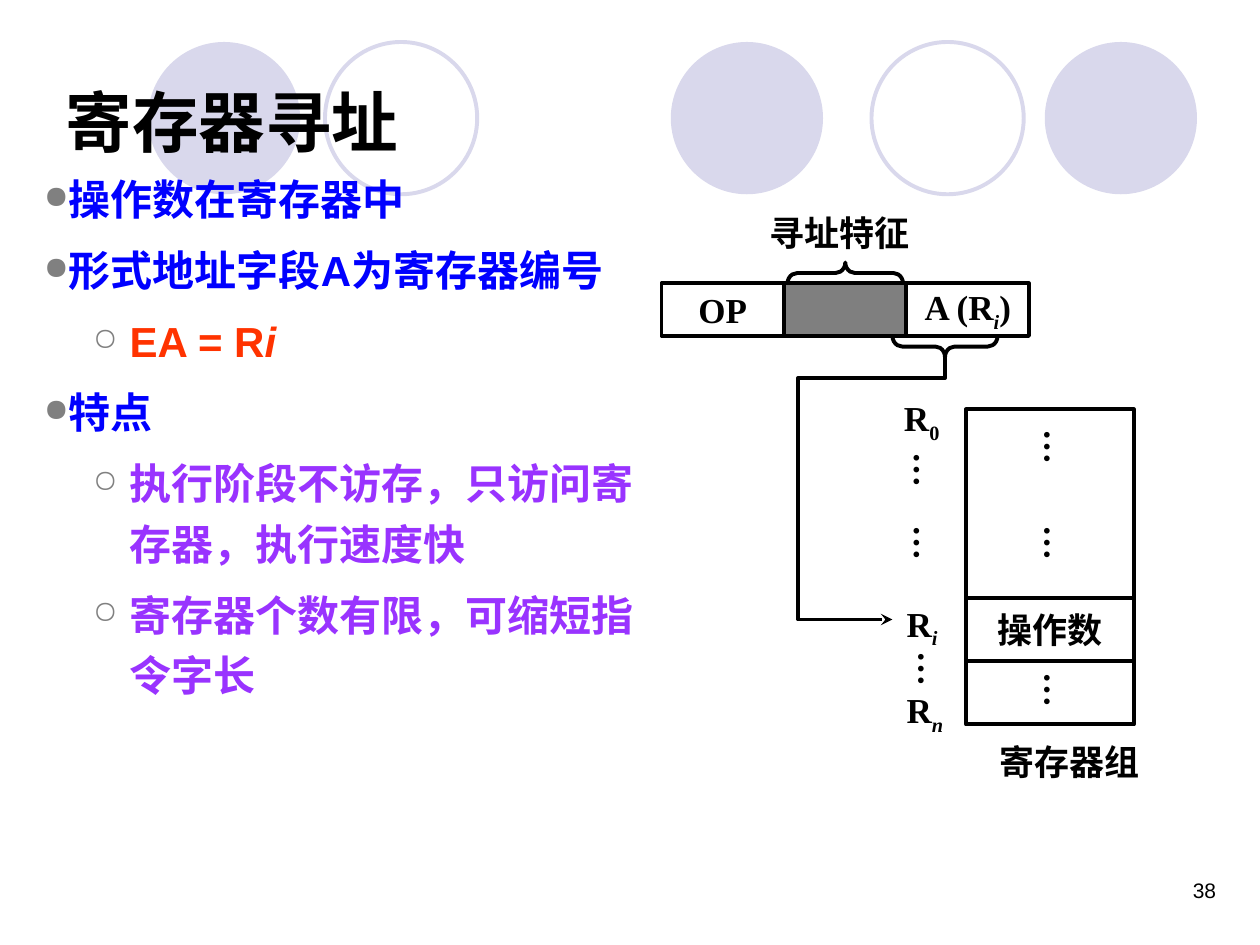
from dataclasses import dataclass

import pptx
import pptx.dml.color
import pptx.enum.shapes
import pptx.enum.text
import pptx.oxml
import pptx.oxml.ns
import pptx.util

Pt = pptx.util.Pt
SHAPE = pptx.enum.shapes.MSO_SHAPE
ALIGN = pptx.enum.text.PP_ALIGN
ANCHOR = pptx.enum.text.MSO_ANCHOR
AUTO = pptx.enum.text.MSO_AUTO_SIZE


@dataclass(frozen=True)
class Theme:
    black: str = "000000"
    circle: str = "D9D8EC"
    bullet: str = "808080"
    blue: str = "0000FF"
    red: str = "FF3300"
    purple: str = "9933FF"
    heading: str = "Arial"
    diagram: str = "Times New Roman"
    title_size: int = 38
    body_size: int = 24
    label_size: int = 20
    number_size: int = 12
    line: float = 2.25


def rgb(color):
    return pptx.dml.color.RGBColor.from_string(color)


def add_xml(parent, tag, **attributes):
    child = parent.makeelement(pptx.oxml.ns.qn(tag), attributes)
    parent.append(child)
    return child


class SlideBuilder:
    def __init__(self, slide, theme):
        self.slide = slide
        self.theme = theme

    def style(self, paragraph, size, font, color, bold=True):
        paragraph.font.size = Pt(size)
        paragraph.font.name = font
        paragraph.font.bold = bold
        paragraph.font.color.rgb = rgb(color)

    def outline(self, shape, color=None):
        shape.shadow.inherit = False
        shape.fill.background()
        shape.line.color.rgb = rgb(color or self.theme.black)
        shape.line.width = Pt(self.theme.line)

    def symbol(self, paragraph, base, sub="", rest=""):
        """Write base text, an optional subscript and what follows it."""
        paragraph.add_run().text = base
        if sub:
            run = paragraph.add_run()
            run.text = sub
            run._r.get_or_add_rPr().set("baseline", "-25000")
            if sub.isalpha():
                run.font.italic = True
        if rest:
            paragraph.add_run().text = rest
        self.style(paragraph, self.theme.label_size, self.theme.diagram, self.theme.black)

    def circle(self, left, top, filled):
        shape = self.slide.shapes.add_shape(SHAPE.OVAL, Pt(left), Pt(top), Pt(87), Pt(87))
        self.outline(shape, self.theme.circle)
        if filled:
            shape.fill.solid()
            shape.fill.fore_color.rgb = rgb(self.theme.circle)
            shape.line.fill.background()

    def box(self, left, top, width, height, *symbol, shaded=False):
        shape = self.slide.shapes.add_shape(
            SHAPE.RECTANGLE, Pt(left), Pt(top), Pt(width), Pt(height))
        self.outline(shape)
        if shaded:
            shape.fill.solid()
            shape.fill.fore_color.rgb = rgb(self.theme.black)
            color = shape._element.spPr.find(".//" + pptx.oxml.ns.qn("a:srgbClr"))
            add_xml(color, "a:alpha", val="50000")
        if symbol:
            frame = shape.text_frame
            frame.word_wrap = False
            frame.vertical_anchor = ANCHOR.MIDDLE
            frame.paragraphs[0].alignment = ALIGN.CENTER
            self.symbol(frame.paragraphs[0], *symbol)

    def text_frame(self, left, top, width, height, wrap=True):
        frame = self.slide.shapes.add_textbox(
            Pt(left), Pt(top), Pt(width), Pt(height)).text_frame
        frame.word_wrap = wrap
        return frame

    def label(self, left, top, width, height, *symbol):
        frame = self.text_frame(left, top, width, height)
        self.symbol(frame.paragraphs[0], *symbol)

    def dots(self, left, top):
        frame = self.text_frame(left, top, 38, 27.5, wrap=False)
        frame.auto_size = AUTO.SHAPE_TO_FIT_TEXT
        frame.margin_left = frame.margin_right = Pt(3.6)
        frame.margin_top = frame.margin_bottom = Pt(7.2)
        frame._txBody.bodyPr.set("vert", "eaVert")
        self.symbol(frame.paragraphs[0], "…")

    def line_of_text(self, left, top, width, height, text, size, bold=True, align=ALIGN.LEFT):
        frame = self.text_frame(left, top, width, height)
        frame.vertical_anchor = ANCHOR.MIDDLE if bold else ANCHOR.TOP
        paragraph = frame.paragraphs[0]
        paragraph.text = text
        paragraph.alignment = align
        self.style(paragraph, size, self.theme.heading, self.theme.black, bold)

    def bullets(self, left, top, width, height, items):
        frame = self.text_frame(left, top, width, height)
        for index, (level, color, text, italic) in enumerate(items):
            paragraph = frame.add_paragraph() if index else frame.paragraphs[0]
            paragraph.level = level
            paragraph.line_spacing = 1.2
            paragraph.space_after = Pt(3)
            if index:
                paragraph.space_before = Pt(3)
            margin, hanging, mark = ((13.5, 13.5, "●"), (49, 21, "○"))[level]
            properties = paragraph._p.get_or_add_pPr()
            properties.set("marL", str(Pt(margin)))
            properties.set("indent", str(-Pt(hanging)))
            add_xml(add_xml(properties, "a:buClr"), "a:srgbClr", val=self.theme.bullet)
            add_xml(properties, "a:buSzPct", val="75000")
            add_xml(properties, "a:buChar", char=mark)
            paragraph.add_run().text = text
            if italic:
                run = paragraph.add_run()
                run.text = italic
                run.font.italic = True
            self.style(paragraph, self.theme.body_size, self.theme.heading, color)

    def brace(self, left, top, width, height, rotation):
        shape = self.slide.shapes.add_shape(
            SHAPE.LEFT_BRACE, Pt(left), Pt(top), Pt(width), Pt(height))
        shape.rotation = rotation
        shape.adjustments[0] = 0.46
        self.outline(shape)

    def arrow_path(self, start, *points):
        builder = self.slide.shapes.build_freeform(*start, scale=Pt(1))
        builder.add_line_segments(points, close=False)
        shape = builder.convert_to_shape()
        self.outline(shape)
        add_xml(shape.line._get_or_add_ln(), "a:tailEnd", type="stealth")


def main():
    theme = Theme()
    deck = pptx.Presentation()
    deck.slide_width, deck.slide_height = Pt(720), Pt(540)
    page = SlideBuilder(deck.slides.add_slide(deck.slide_layouts[6]), theme)

    # Background circles
    for left, top, filled in ((383.3, 24, True), (597, 24, True), (84.5, 24, True),
                              (498, 24, False), (185.7, 24, False)):
        page.circle(left, top, filled)

    # Slide number and explanation
    page.line_of_text(534, 498, 168, 36, "38", theme.number_size, False, ALIGN.RIGHT)
    page.bullets(18, 90, 366, 366, (
        (0, theme.blue, "操作数在寄存器中", ""),
        (0, theme.blue, "形式地址字段A为寄存器编号", ""),
        (1, theme.red, "EA = R", "i"),
        (0, theme.blue, "特点", ""),
        (1, theme.purple, "执行阶段不访存，只访问寄存器，执行速度快", ""),
        (1, theme.purple, "寄存器个数有限，可缩短指令字长", "")))

    # Instruction format
    field_left, field_top, field_width, field_height = 378, 162, 70, 30
    for column, symbol in enumerate((("OP",), (), ("A (R", "i", ")"))):
        page.box(field_left + column * field_width, field_top, field_width, field_height,
                 *symbol, shaded=not symbol)
    page.brace(477, 123, 12, 66, 90)
    page.label(432.5, 117.5, 100, 31.5, "寻址特征")
    page.brace(534, 168, 12, 60, 270)

    # Path from the address field to the register
    page.arrow_path((540, 204), (540, 216), (456, 216), (456, 354), (510, 354))

    # Register file
    for top, height, symbol in ((342, 36, ("操作数",)), (378, 36, ()), (234, 108, ())):
        page.box(552, top, 96, height, *symbol)
    for left, top in ((582.5, 238.5), (582.5, 293), (582.5, 377),
                      (508, 251.5), (508, 293), (510.5, 365)):
        page.dots(left, top)
    for left, top, index in ((509.5, 223, "0"), (511, 340.5, "i"), (511, 390, "n")):
        page.label(left, top, 42, 34.5, "R", index)
    page.label(564, 419.5, 100, 31.5, "寄存器组")

    # Title
    page.line_of_text(30.5, 30, 636, 78, "寄存器寻址", theme.title_size)

    deck.save("out.pptx")


if __name__ == "__main__":
    main()
